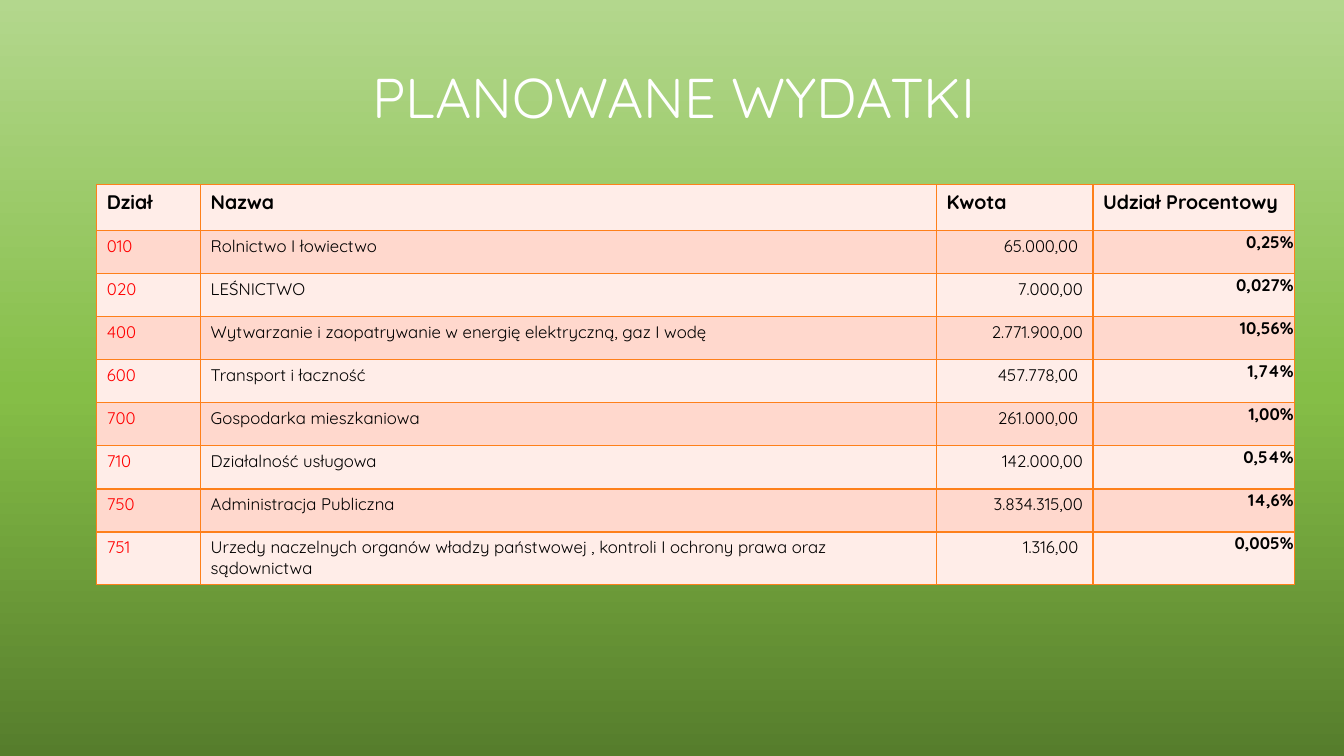
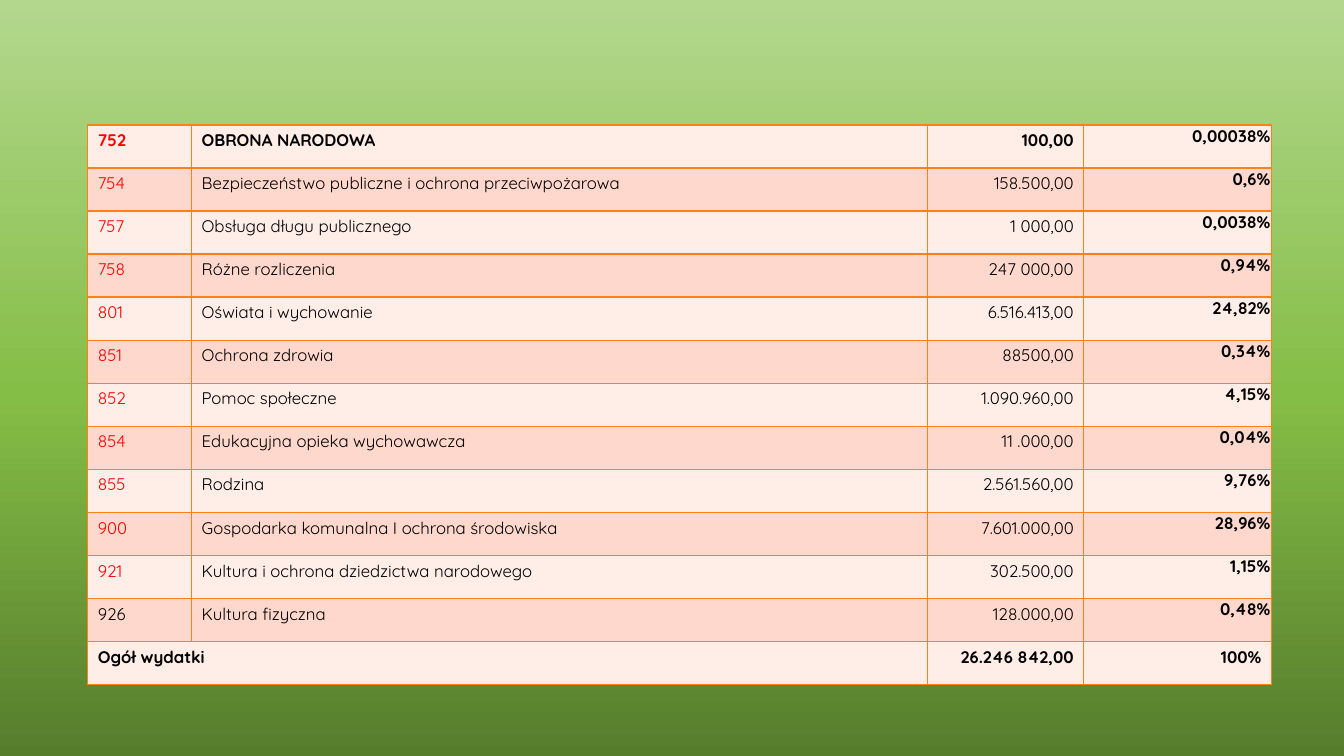
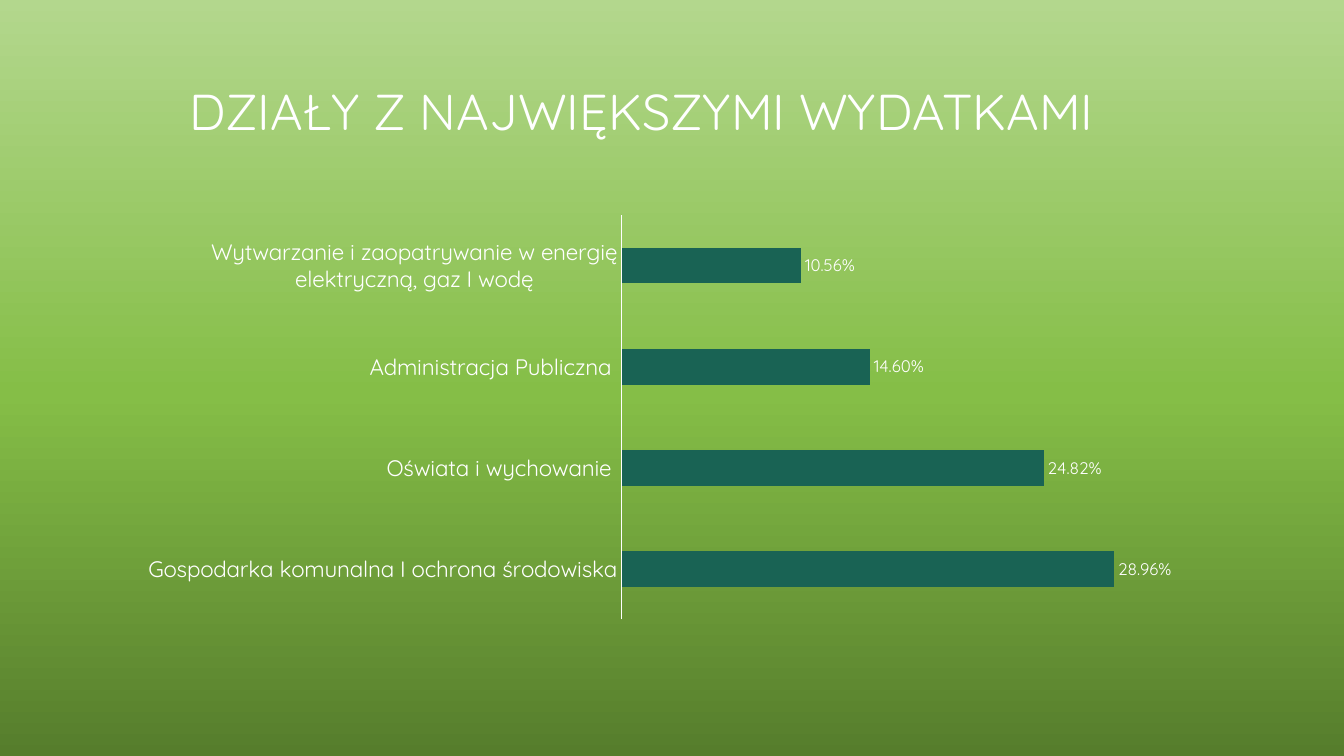
from copy import deepcopy

from lxml import etree
from pptx import Presentation
from pptx.chart.data import CategoryChartData
from pptx.dml.color import RGBColor
from pptx.enum import chart as ch, text as tx
from pptx.oxml.ns import qn
from pptx.util import Inches, Pt

FONT = "Quicksand"
WHITE = RGBColor(0xFF, 0xFF, 0xFF)
BLACK = RGBColor(0, 0, 0)
RED = RGBColor(0xFF, 0, 0)
ORANGE = RGBColor(0xFE, 0x80, 0x1A)
PALE_PINK = RGBColor(0xFF, 0xED, 0xE8)
PINK = RGBColor(0xFF, 0xD8, 0xCD)
TEAL = RGBColor(0x19, 0x63, 0x54)
GREENS = [(0, RGBColor(0x56, 0x7D, 0x2C)),
          (0.48, RGBColor(0x85, 0xBE, 0x47)),
          (1, RGBColor(0xB3, 0xD7, 0x8D))]
ROW_HEIGHT = Inches(5.55 / 13)

prs = Presentation()
prs.slide_width, prs.slide_height = Inches(13.33), Inches(7.5)
TITLE_ONLY, BLANK = prs.slide_layouts[5], prs.slide_layouts[6]

# Shared green background, dark at the bottom
master = prs.slide_master
background = master.background.fill
background.gradient()
background.gradient_angle = 90
stop_list = master.element.find(".//" + qn("a:gsLst"))
stop_list.insert(1, deepcopy(stop_list[0]))
for stop, (position, green) in zip(background.gradient_stops, GREENS):
    stop.position = position
    stop.color.rgb = green


def add_titled_slide(title, left, top, width, size, align):
    slide = prs.slides.add_slide(TITLE_ONLY)
    heading = slide.shapes.title
    heading.left, heading.top = Inches(left), Inches(top)
    heading.width, heading.height = Inches(width), Inches(1.41)
    frame = heading.text_frame
    frame.text = title
    frame.auto_size = tx.MSO_AUTO_SIZE.NONE
    frame.vertical_anchor = tx.MSO_ANCHOR.MIDDLE
    paragraph = frame.paragraphs[0]
    paragraph.alignment = align
    paragraph.line_spacing = 0.9
    paragraph.font.size, paragraph.font.name = Pt(size), FONT
    paragraph.font.color.rgb = WHITE
    return slide


def add_budget_table(slide, rows, left, top, widths, bold_rows, black_codes):
    """Rows hold code, name, amount and share; a row coded "Dział" is the header."""
    table = slide.shapes.add_table(
        len(rows), len(widths), Inches(left), Inches(top),
        Inches(sum(widths)), ROW_HEIGHT * len(rows)).table
    table.first_row = table.horz_banding = False
    for column, width in zip(table.columns, widths):
        column.width = Inches(width)
    for r, row in enumerate(rows):
        table.rows[r].height = ROW_HEIGHT
        header = row[0] == "Dział"
        for c, content in enumerate(row):
            cell = table.cell(r, c)
            cell.text = content
            cell.fill.solid()
            cell.fill.fore_color.rgb = PINK if r % 2 else PALE_PINK
            paragraph = cell.text_frame.paragraphs[0]
            if c >= 2 and not header:
                paragraph.alignment = tx.PP_ALIGN.RIGHT
            if c == 3 and row[0].isdigit():
                cell.margin_left = cell.margin_top = cell.margin_right = Inches(0.01)
                cell.margin_bottom = 0
            font = paragraph.font
            font.name, font.size = FONT, Pt(14 if header else 12)
            font.bold = c == 3 or row[0] in bold_rows
            red = c == 0 and row[0] not in black_codes
            font.color.rgb = RED if red else BLACK
            properties = cell._tc.get_or_add_tcPr()
            for i, side in enumerate(("a:lnL", "a:lnR", "a:lnT", "a:lnB")):
                line = etree.Element(qn(side), w=str(Pt(1)))
                solid = etree.SubElement(line, qn("a:solidFill"))
                etree.SubElement(solid, qn("a:srgbClr"), val=str(ORANGE))
                properties.insert(i, line)
    return table


# Slide 1: planned spending
planned = [
    ("Dział", "Nazwa", "Kwota", "Udział Procentowy"),
    ("010", "Rolnictwo I łowiectwo", "65.000,00 ", "0,25%"),
    ("020", "LEŚNICTWO", "7.000,00", "0,027%"),
    ("400", "Wytwarzanie i zaopatrywanie w energię elektryczną, gaz I wodę",
     "2.771.900,00", "10,56%"),
    ("600", "Transport i łaczność", "457.778,00 ", "1,74%"),
    ("700", "Gospodarka mieszkaniowa", "261.000,00 ", "1,00%"),
    ("710", "Działalność usługowa", "142.000,00", "0,54%"),
    ("750", "Administracja Publiczna", "3.834.315,00", "14,6%"),
    ("751", "Urzedy naczelnych organów władzy państwowej , kontroli I ochrony "
     "prawa oraz sądownictwa", "1.316,00 ", "0,005%"),
]
slide = add_titled_slide("PLANOWANE WYDATKI ", 3.39, 0.29, 6.54, 40, tx.PP_ALIGN.RIGHT)
spending = add_budget_table(slide, planned, 0.96, 1.83, [1.03, 7.3, 1.55, 2],
                            bold_rows=["Dział"], black_codes=["Dział"])
spending.rows[0].height = Inches(0.46)
spending.rows[len(planned) - 1].height = Inches(0.52)

# Slide 2: planned spending, continued, with the total
continued = [
    ("752", "OBRONA NARODOWA", "100,00", "0,00038%"),
    ("754", "Bezpieczeństwo publiczne i ochrona przeciwpożarowa", "158.500,00", "0,6%"),
    ("757", "Obsługa długu publicznego", "1 000,00", "0,0038%"),
    ("758", "Różne rozliczenia", "247 000,00", "0,94%"),
    ("801", "Oświata i wychowanie", "6.516.413,00", "24,82%"),
    ("851", "Ochrona zdrowia", "88500,00", "0,34%"),
    ("852", "Pomoc społeczne", "1.090.960,00", "4,15%"),
    ("854", "Edukacyjna opieka wychowawcza", "11 .000,00", "0,04%"),
    ("855", "Rodzina", "2.561.560,00", "9,76%"),
    ("900", "Gospodarka komunalna I ochrona środowiska", "7.601.000,00", "28,96%"),
    ("921", "Kultura i ochrona dziedzictwa narodowego", "302.500,00", "1,15%"),
    ("926", "Kultura fizyczna", "128.000,00", "0,48%"),
    ("Ogół wydatki", "", "26.246 842,00", "100%"),
]
slide = prs.slides.add_slide(BLANK)
spending = add_budget_table(slide, continued, 0.87, 1.24, [1.03, 7.3, 1.55, 1.86],
                            bold_rows=["752", "Ogół wydatki"],
                            black_codes=["926", "Ogół wydatki"])
total_row = len(continued) - 1
spending.cell(total_row, 0).merge(spending.cell(total_row, 1))

# Slide 3: largest departments
slide = add_titled_slide("DZIAŁY Z NAJWIĘKSZYMI WYDATKAMI", 1.78, 0.43, 11.85, 36,
                         tx.PP_ALIGN.LEFT)
largest = CategoryChartData(number_format="0.00%")
largest.categories = [
    "Gospodarka komunalna I ochrona środowiska",
    "Oświata i wychowanie ",
    "Administracja Publiczna ",
    "Wytwarzanie i zaopatrywanie w energię elektryczną, gaz I wodę",
]
largest.add_series("Series 1", [0.2896, 0.2482, 0.146, 0.1056])
chart = slide.shapes.add_chart(
    ch.XL_CHART_TYPE.BAR_CLUSTERED, Inches(1.25), Inches(2.05),
    Inches(11.04), Inches(4.18), largest).chart
chart.has_legend = chart.has_title = False
chart.font.name, chart.font.size = FONT, Pt(12)
chart.font.color.rgb = WHITE

departments = chart.category_axis
departments.major_tick_mark = ch.XL_TICK_MARK.NONE
departments.tick_labels.font.name = FONT
departments.tick_labels.font.size = Pt(16)
departments.tick_labels.font.color.rgb = WHITE
departments.format.line.color.rgb = WHITE
departments.format.line.width = Pt(0.75)

shares = chart.value_axis
shares.minimum_scale, shares.maximum_scale = 0, 0.35
shares.has_major_gridlines = False
shares.visible = False

bars = chart.plots[0]
bars.gap_width = 182
bars.vary_by_categories = False
bars.series[0].format.fill.solid()
bars.series[0].format.fill.fore_color.rgb = TEAL
bars.has_data_labels = True
labels = bars.data_labels
labels.show_value = True
labels.number_format, labels.number_format_is_linked = "0.00%", False
labels.position = ch.XL_LABEL_POSITION.OUTSIDE_END
labels.font.name, labels.font.size = FONT, Pt(12)
labels.font.color.rgb = WHITE

prs.save("out.pptx")
